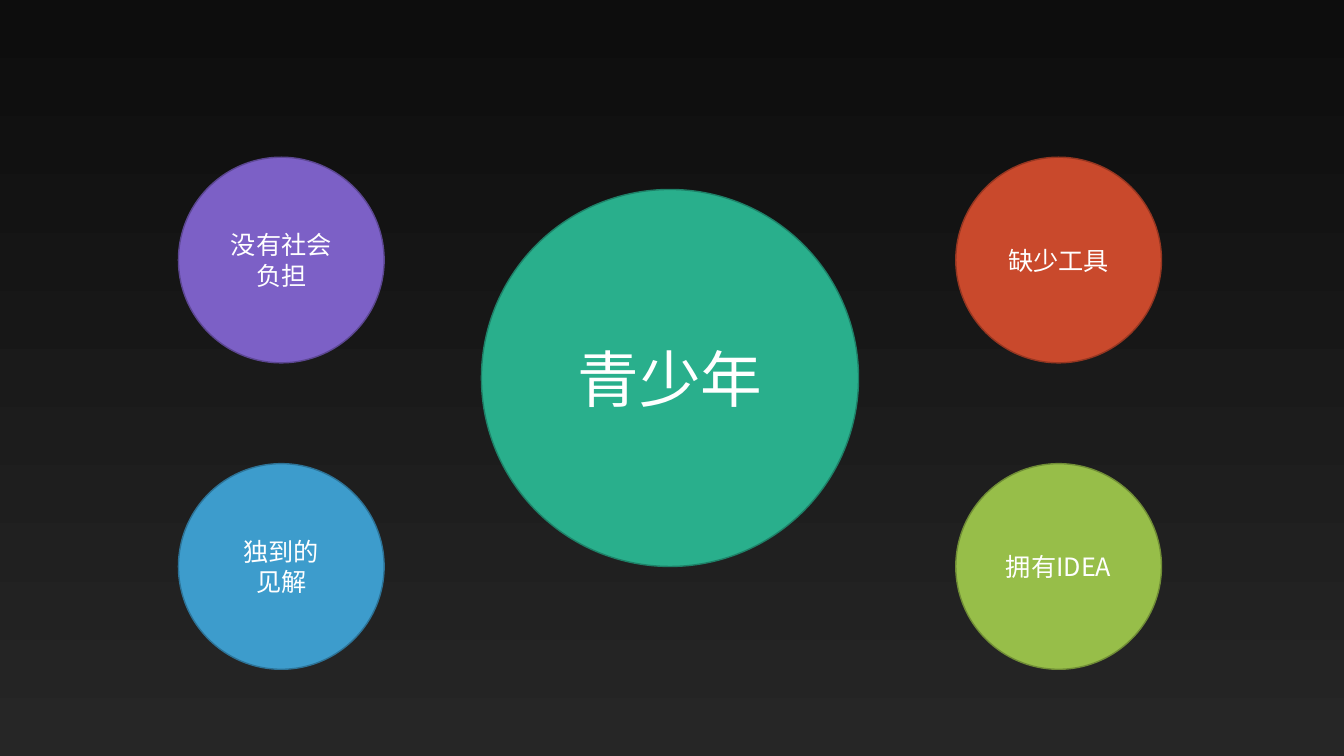
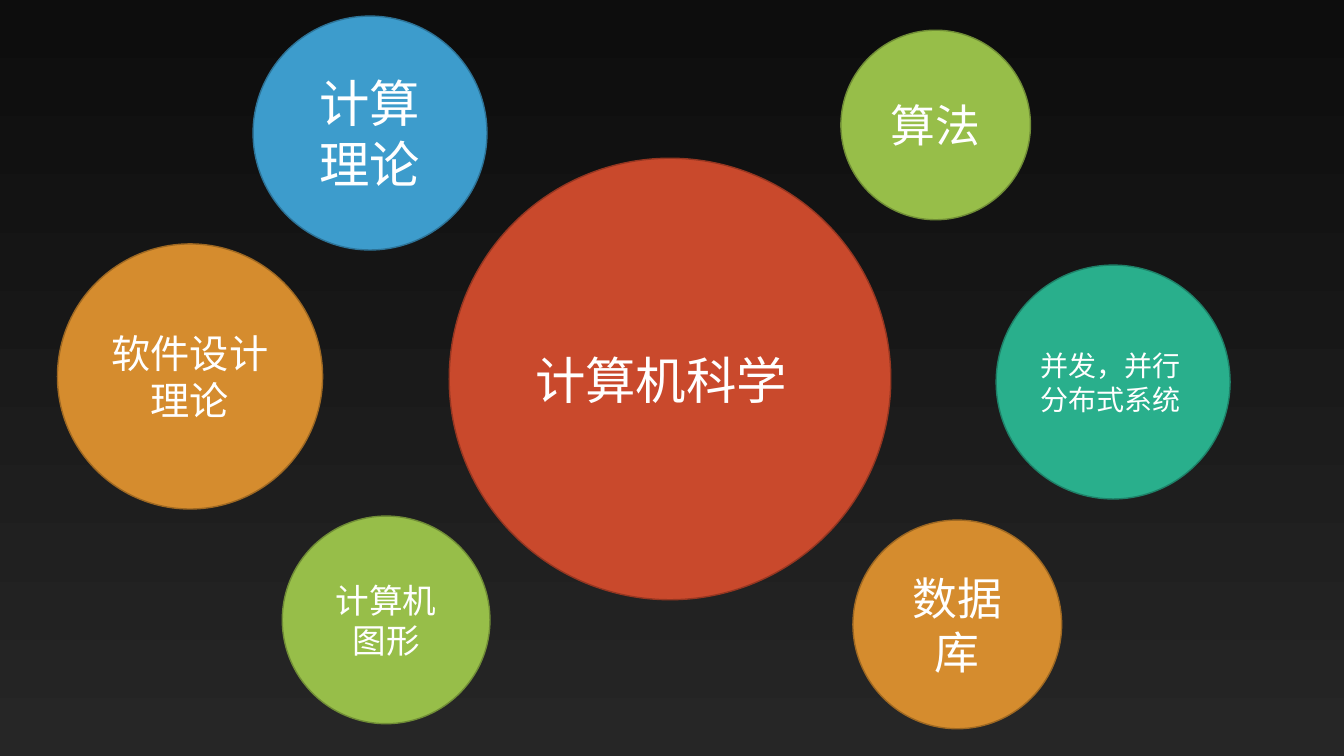
from itertools import product

from lxml import etree
from pptx import Presentation
from pptx.dml.color import RGBColor
from pptx.enum.shapes import MSO_SHAPE
from pptx.enum.text import MSO_ANCHOR, PP_ALIGN
from pptx.oxml.ns import qn
from pptx.util import Inches, Pt

OVAL = MSO_SHAPE.OVAL
MIDDLE = MSO_ANCHOR.MIDDLE
CENTER, LEFT = PP_ALIGN.CENTER, PP_ALIGN.LEFT

FONT = "Noto Sans CJK SC"
WIDTH, HEIGHT = 13.33, 7.5
BLANK_LAYOUT = 6
COLORS = {
    "background_top": "0D0D0D", "background_bottom": "262626", "text": "FFFFFF",
    "teal": "29AF8C", "teal_edge": "1E8168",
    "purple": "7C60C6", "purple_edge": "5C4792",
    "blue": "3D9CCC", "blue_edge": "2D7397",
    "green": "97BE49", "green_edge": "708D36",
    "red": "C9492C", "red_edge": "953621",
    "orange": "D58C2E", "orange_edge": "9E6822",
}


def color(name):
    """Return the named colour."""
    return RGBColor.from_string(COLORS[name])


def style_background(master):
    """Give every slide the dark vertical gradient."""
    fill = master.background.fill
    fill.gradient()
    fill.gradient_angle = 270
    for stop, name in zip(fill.gradient_stops, ("background_top", "background_bottom")):
        stop.color.rgb = color(name)


def add_circle(slide, left, top, diameter, fill, lines, size, alignment=CENTER, indent=0.1):
    """Add a filled circle with one paragraph for each line."""
    shape = slide.shapes.add_shape(
        OVAL, Inches(left), Inches(top), Inches(diameter), Inches(diameter))
    shape.shadow.inherit = False
    shape.fill.solid()
    shape.fill.fore_color.rgb = color(fill)
    shape.line.color.rgb = color(f"{fill}_edge")
    shape.line.width = Pt(1)
    frame = shape.text_frame
    frame_format = {"word_wrap": True, "vertical_anchor": MIDDLE, "margin_left": Inches(indent)}
    for attribute, value in frame_format.items():
        setattr(frame, attribute, value)
    frame.text = "\n".join(lines)
    for paragraph in frame.paragraphs:
        paragraph.alignment = alignment
        for run in paragraph.runs:
            for attribute, value in {"name": FONT, "size": Pt(size)}.items():
                setattr(run.font, attribute, value)
            run.font.color.rgb = color("text")
            east_asian = etree.SubElement(run.font._element, qn("a:ea"))
            east_asian.set("typeface", FONT)


def build_youth_slide(slide, left, top, width, height):
    """Place a central circle and one circle in each corner of the box."""
    center, corner = 3.74, 2.04
    add_circle(slide, left + (width - center) / 2, top + 0.32, center,
               "teal", ["青少年"], 44)
    corners = product((left, left + width - corner), (top, top + height - corner))
    topics = [
        ("purple", ["没有社会负担"]),
        ("blue", ["独到的", "见解"]),
        ("red", ["缺少工具"]),
        ("green", ["拥有IDEA"]),
    ]
    for (x, y), (fill, lines) in zip(corners, topics):
        add_circle(slide, x, y, corner, fill, lines, 18)


def build_science_slide(slide, left, top, width, height):
    """Place a central circle and its fields around it in the box."""
    center = 4.38
    add_circle(slide, left + (width - center) / 2 - 0.02, top + (height - center) / 2 + 0.01,
               center, "red", ["计算机科学"], 36, LEFT, 0.21)
    fields = [
        (2.51, 0.16, 2.32, "blue", ["计算理论"], 36),
        (0.57, 2.42, 2.63, "orange", ["软件设计", "理论"], 28),
        (8.34, 0.3, 1.88, "green", ["算法"], 32),
        (9.88, 2.63, 2.32, "teal", ["并发，并行分布式系统"], 20, LEFT),
        (8.46, 5.16, 2.07, "orange", ["数据库"], 32),
        (2.8, 5.12, 2.06, "green", ["计算机图形"], 24),
    ]
    for x, y, *details in fields:
        add_circle(slide, left + x, top + y, *details)


def main():
    """Build and save the presentation."""
    presentation = Presentation()
    presentation.slide_width = Inches(WIDTH)
    presentation.slide_height = Inches(HEIGHT)
    style_background(presentation.slide_master)
    layout = presentation.slide_layouts[BLANK_LAYOUT]
    build_youth_slide(presentation.slides.add_slide(layout), 1.77, 1.56, 9.75, 5.08)
    build_science_slide(presentation.slides.add_slide(layout), 0, 0, WIDTH, HEIGHT)
    presentation.save("out.pptx")


if __name__ == "__main__":
    main()
